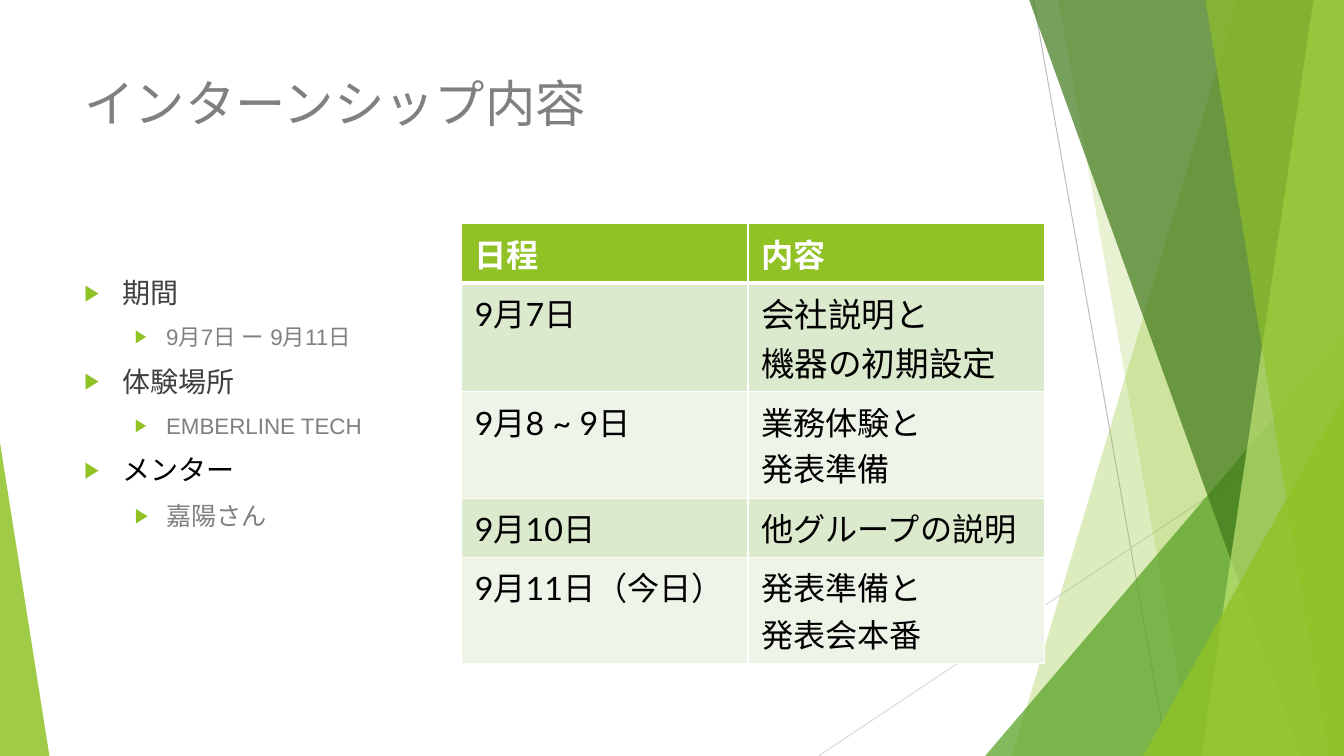
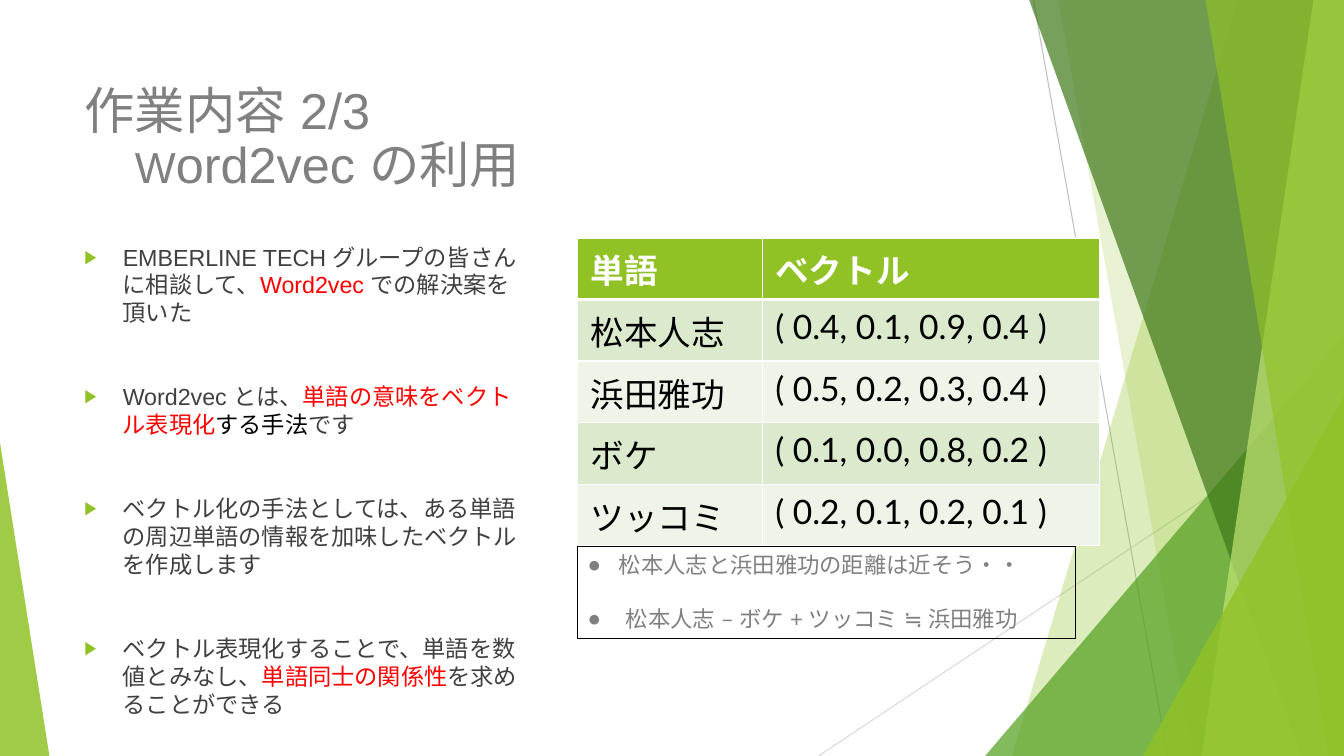
from lxml import etree
from pptx import Presentation, util as u
from pptx.dml.color import RGBColor
from pptx.enum import shapes, text
from pptx.oxml import ns

COLORS = {"green": "90C226", "leaf": "54A021", "forest": "3F7819", "lime": "C0E474",
          "mist": "DBE9CD", "pale": "EEF4E8", "white": "FFFFFF", "black": "000000",
          "gray": "808080", "dark": "404040", "red": "FF0000",
          "silver": "BFBFBF", "light": "D9D9D9"}

# Positions and sizes are percentages of the slide's width and height.
RAYS = [((76.9, 0), (86.88, 100), "silver"), ((100, 53.73), (60.9, 100), "light")]
# Panels: top-left x, bottom-left x, colour, opacity; each reaches the right edge.
# Peaks: left, top, width, apex, colour, opacity; each stands on the bottom edge.
FACETS = [("panel", 92.1, 75.3, "green", 30),
          ("panel", 78.75, 88.73, "green", 20),
          ("peak", 73.3, 44.4, 26.7, 1, "leaf", 72),
          ("panel", 76.58, 96.83, "forest", 70),
          ("panel", 97.73, 89.4, "lime", 70),
          ("panel", 89.7, 98.85, "green", 65),
          ("peak", 85.05, 52.4, 14.95, 1, "green", 80),
          ("peak", 0, 58.53, 3.68, 0, "green", 85)]

ARROW = {"char": "▶", "color": "green", "size": 80}
DOT = {"char": "●", "color": "gray", "size": 100}
TOP = {"margin": 0.38, "hang": 0.38, "bullet": ARROW, "format": {"space_before": u.Pt(10)}}
SUB = {**TOP, "margin": 0.81, "hang": 0.31}
SPACED = {**TOP, "format": {"space_before": u.Pt(10), "space_after": u.Pt(30)}}
TIGHT = {"format": {"line_spacing": 0.9}}

# A paragraph is (style, runs); a run is (text, size, colour).
SLIDES = [
    {"title": {"box": (5.55, 8.93, 70.5, 19.2), "font": "Lato", "anchor": "TOP",
               "paras": [({}, [("インターンシップ内容", 36, "gray")])]},
     "body": {"box": (5.55, 29.33, 23.48, 48), "font": "Arial", "anchor": "MIDDLE",
              "paras": [(TOP, [("期間", 20, "dark")]),
                        (SUB, [("9月7日 ー 9月11日", 16, "gray")]),
                        (TOP, [("体験場所", 20, "dark")]),
                        (SUB, [("EMBERLINE TECH", 16, "gray")]),
                        (TOP, [("メンター", 20, "black")]),
                        (SUB, [("嘉陽さん", 18, "gray")])]},
     "table": {"at": (34.35, 29.6), "cols": (21.3, 22.05), "inset": 0.06, "size": 23,
               "rows": (7.8, 14.4, 14.1, 7.8, 14.1), "sizes": {(1, 1): 24},
               "cells": [("日程", "内容"),
                         ("9月7日", "会社説明と\n機器の初期設定"),
                         ("9月8 ~ 9日", "業務体験と\n発表準備"),
                         ("9月10日", "他グループの説明"),
                         ("9月11日（今日）", "発表準備と\n発表会本番")]}},
    {"title": {"box": (5.55, 8.93, 72.8, 19.2), "font": "Arial", "anchor": "MIDDLE",
               "paras": [(TIGHT, [("作業内容 2/3", 36, "gray")]),
                         ({**TIGHT, "margin": 0.5},
                          [("W", 31, "gray"), ("ord2vec の利用", 36, "gray")])]},
     "body": {"box": (5.55, 31.47, 33.85, 60.67), "font": "Arial", "anchor": "TOP",
              "paras": [
                  (SPACED, [("EMBERLINE TECH グループの皆さんに相談して、", 16.6, "dark"),
                            ("Word2vec ", 16.6, "red"),
                            ("での解決案を頂いた", 16.6, "dark")]),
                  (SPACED, [("Word2vec とは、", 16.6, "dark"),
                            ("単語の意味をベクトル表現化", 16.6, "red"),
                            ("する手法", 16.6, "black"), ("です", 16.6, "dark")]),
                  (SPACED, [("ベクトル化の手法としては、ある単語の周辺単語の情報を"
                             "加味したベクトルを作成します", 16.6, "dark")]),
                  (TOP, [("ベクトル表現化することで、単語を数値とみなし、", 16.6, "dark"),
                         ("単語同士の関係性", 16.6, "red"),
                         ("を求めることができる", 16.6, "dark")])]},
     "table": {"at": (42.98, 31.47), "cols": (13.73, 25.13), "inset": 0.07, "size": 24,
               "rows": (8.15,) * 5, "sizes": {},
               "cells": [("単語", "ベクトル"),
                         ("松本人志", "( 0.4, 0.1, 0.9, 0.4 )"),
                         ("浜田雅功", "( 0.5, 0.2, 0.3, 0.4 )"),
                         ("ボケ", "( 0.1, 0.0, 0.8, 0.2 )"),
                         ("ツッコミ", "( 0.2, 0.1, 0.2, 0.1 )")]},
     "note": {"box": (42.98, 72.27, 37.05, 12.13), "font": "Lato", "anchor": "TOP",
              "border": "black",
              "paras": [({"margin": 0.31, "hang": 0.31, "bullet": DOT},
                         [("松本人志と浜田雅功の距離は近そう・・", 16, "gray")]),
                        ({"margin": 0.38, "hang": 0.38, "bullet": DOT,
                          "format": {"space_before": u.Pt(19.5)}},
                         [("松本人志 – ボケ + ツッコミ ≒ 浜田雅功", 16, "gray")])]}},
]

prs = Presentation()
prs.slide_width, prs.slide_height = u.Inches(13.333), u.Inches(7.5)


def px(share):
    """Turn a share of the slide's width into a length."""
    return u.Emu(round(prs.slide_width * share / 100))


def py(share):
    """Turn a share of the slide's height into a length."""
    return u.Emu(round(prs.slide_height * share / 100))


def rgb(name):
    """Look up a colour by name."""
    return RGBColor.from_string(COLORS[name])


def apply(target, values):
    """Set attributes from a dict."""
    for name, value in values.items():
        setattr(target, name, value)


def child(parent, tag, **attrs):
    """Append a drawing element."""
    return etree.SubElement(parent, ns.qn(tag), {k: str(v) for k, v in attrs.items()})


def paint(target, color):
    """Give a shape or a cell a solid fill."""
    target.fill.solid()
    target.fill.fore_color.rgb = rgb(color)


def add_run(p, content, size, color, font, bold=False):
    """Add one formatted run."""
    r = p.add_run()
    r.text = content
    apply(r.font, {"size": u.Pt(size), "name": font, "bold": bold})
    r.font.color.rgb = rgb(color)
    return r


def style_paragraph(p, style):
    """Set spacing, indents and bullet."""
    apply(p, style.get("format", {}))
    props = p._p.get_or_add_pPr()
    props.set("marL", str(u.Inches(style.get("margin", 0))))
    props.set("indent", str(-u.Inches(style.get("hang", 0))))
    bullet = style.get("bullet")
    if bullet:
        child(child(props, "a:buClr"), "a:srgbClr", val=COLORS[bullet["color"]])
        child(props, "a:buSzPct", val=bullet["size"] * 1000)
        child(props, "a:buFont", typeface="Arial")
        child(props, "a:buChar", char=bullet["char"])


def add_text(s, spec):
    """Add a text box, with a border if one is named."""
    x, y, w, h = spec["box"]
    sp = s.shapes.add_textbox(px(x), py(y), px(w), py(h))
    if "border" in spec:
        sp.line.color.rgb = rgb(spec["border"])
        sp.line.width = u.Pt(0.75)
    tf = sp.text_frame
    apply(tf, {"word_wrap": True,
               "vertical_anchor": getattr(text.MSO_ANCHOR, spec["anchor"])})
    for i, (style, runs) in enumerate(spec["paras"]):
        p = tf.add_paragraph() if i else tf.paragraphs[0]
        style_paragraph(p, style)
        for run in runs:
            r = add_run(p, *run, spec["font"])
            child(r.font._element, "a:ea", typeface=spec["font"])


def add_borders(cell, row):
    """Draw white cell borders, thick below the header."""
    props = cell._tc.get_or_add_tcPr()
    thick = {0: "B", 1: "T"}.get(row)
    for i, side in enumerate("LRTB"):
        ln = child(props, f"a:ln{side}", w=u.Pt(3 if side == thick else 1))
        child(child(ln, "a:solidFill"), "a:srgbClr", val=COLORS["white"])
        props.insert(i, ln)


def add_table(s, spec):
    """Add a table with a green header and banded rows."""
    x, y = spec["at"]
    cols, rows = spec["cols"], spec["rows"]
    table = s.shapes.add_table(len(rows), len(cols), px(x), py(y),
                               px(sum(cols)), py(sum(rows))).table
    for column, width in zip(table.columns, cols):
        column.width = px(width)
    for i, (row, height) in enumerate(zip(table.rows, rows)):
        row.height = py(height)
        for j, cell in enumerate(row.cells):
            inset = u.Inches(spec["inset"])
            apply(cell, {"margin_left": u.Inches(0.13), "margin_right": u.Inches(0.13),
                         "margin_top": inset, "margin_bottom": inset})
            paint(cell, "green" if i == 0 else ("pale", "mist")[i % 2])
            add_borders(cell, i)
            size = spec["sizes"].get((i, j), spec["size"])
            for k, line in enumerate(spec["cells"][i][j].split("\n")):
                tf = cell.text_frame
                p = tf.add_paragraph() if k else tf.paragraphs[0]
                add_run(p, line, size, "black" if i else "white", "Lato", i == 0)


def add_panel(s, top, bottom):
    """Outline a panel that reaches the right edge."""
    outline = s.shapes.build_freeform(px(top), 0)
    outline.add_line_segments([(px(100), 0), (px(100), py(100)), (px(bottom), py(100))])
    return outline.convert_to_shape()


def add_peak(s, left, top, width, apex):
    """Add a right-angled triangle standing on the bottom edge."""
    sp = s.shapes.add_shape(shapes.MSO_SHAPE.ISOSCELES_TRIANGLE,
                            px(left), py(top), px(width), py(100 - top))
    sp.adjustments[0] = apex
    return sp


def add_backdrop(s):
    """Draw the rays and translucent facets."""
    for (x1, y1), (x2, y2), color in RAYS:
        ray = s.shapes.add_connector(shapes.MSO_CONNECTOR.STRAIGHT,
                                     px(x1), py(y1), px(x2), py(y2))
        ray.line.color.rgb = rgb(color)
        ray.line.width = u.Pt(0.75)
        child(ray._element.spPr, "a:effectLst")
    draw = {"panel": add_panel, "peak": add_peak}
    for kind, *place, color, opacity in FACETS:
        sp = draw[kind](s, *place)
        sp.shadow.inherit = False
        paint(sp, color)
        sp.line.fill.background()
        tint = sp._element.spPr.find(ns.qn("a:solidFill"))[0]
        child(tint, "a:alpha", val=opacity * 1000)


for content in SLIDES:
    s = prs.slides.add_slide(prs.slide_layouts[6])
    add_backdrop(s)
    add_text(s, content["title"])
    add_text(s, content["body"])
    add_table(s, content["table"])
    if "note" in content:
        add_text(s, content["note"])

prs.save("out.pptx")
